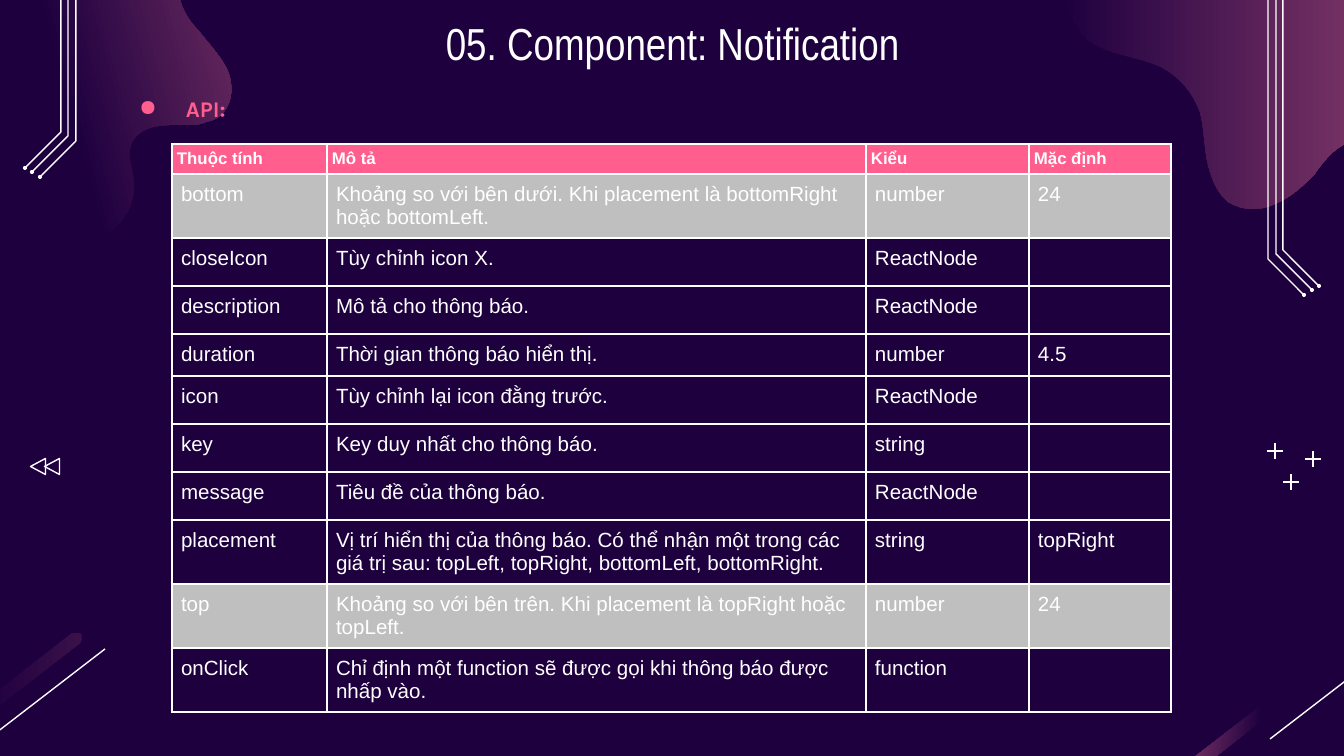
from dataclasses import dataclass
from lxml import etree
from pptx import Presentation
from pptx.dml.color import RGBColor
from pptx.enum.shapes import MSO_CONNECTOR, MSO_SHAPE
from pptx.enum.text import MSO_ANCHOR, MSO_AUTO_SIZE, PP_ALIGN
from pptx.oxml.ns import qn
from pptx.util import Pt

STRAIGHT = MSO_CONNECTOR.STRAIGHT
TRIANGLE, OVAL = MSO_SHAPE.ISOSCELES_TRIANGLE, MSO_SHAPE.OVAL
TOP, MIDDLE = MSO_ANCHOR.TOP, MSO_ANCHOR.MIDDLE
CENTER, NO_FIT = PP_ALIGN.CENTER, MSO_AUTO_SIZE.NONE

NIGHT = RGBColor(0x1E, 0x00, 0x3F)
MAUVE = RGBColor(0xA6, 0x4D, 0x79)
DUSK = RGBColor(0x3A, 0x10, 0x48)
PINK = RGBColor(0xFF, 0x5E, 0x8E)
GREY = RGBColor(0xBF, 0xBF, 0xBF)
WHITE = RGBColor(0xFF, 0xFF, 0xFF)

EMU_PER_PX = 914400 / 134.4
TITLE_ONLY = 5
CURVE_STEPS = 8
THIN = Pt(0.75)
Point = tuple[float, float]


@dataclass
class Blob:
    """Closed chain of cubic curves: a start, then two handles and an end each."""
    points: list[Point]
    angle: float
    dark_until: float
    tip: RGBColor = MAUVE


@dataclass
class Trace:
    x: int
    top: int
    bend: int
    side: int


@dataclass
class Row:
    cells: tuple[str, str, str, str]
    height: int
    fill: RGBColor | None = None


def px(value: float) -> int:
    return round(value * EMU_PER_PX)


LEFT_WAVE = [
    (65, 255), (99, 246), (116, 227), (121, 222), (132, 210), (136, 192), (133, 176),
    (132, 167), (128, 157), (130, 149), (132, 137), (142, 130), (153, 127),
    (167, 124), (179, 125), (191, 125), (196, 125), (202, 124), (206, 122),
    (212, 121), (219, 118), (223, 113), (234, 101), (233, 82), (227, 69),
    (220, 55), (208, 43), (199, 31), (188, 20), (179, 5), (179, -9),
    (179, -22), (183, -34), (192, -42), (198, -47), (206, -51), (214, -52),
    (226, -56), (241, -56), (255, -55), (270, -55), (285, -54), (300, -56),
    (319, -62), (331, -69), (339, -78), (348, -89), (351, -105), (347, -117),
    (344, -141), (328, -168), (313, -180), (289, -202), (255, -208), (224, -203),
    (173, -188), (138, -148), (94, -128), (87, -125), (79, -122), (73, -121),
    (30, -109), (-17, -114), (-63, -110), (-83, -109), (-103, -105), (-122, -99),
    (-140, -95), (-156, -90), (-172, -82), (-195, -73), (-218, -59), (-234, -40),
    (-250, -23), (-262, 3), (-261, 30), (-259, 62), (-237, 91), (-210, 108),
    (-181, 125), (-151, 130), (-118, 133), (-99, 136), (-81, 136), (-62, 142),
    (-43, 148), (-26, 160), (-17, 179), (-11, 194), (-11, 208), (-4, 223),
    (8, 247), (39, 262), (65, 255)]
RIGHT_WAVE = [
    (1512, 51), (1512, 17), (1503, -17), (1485, -47), (1470, -73), (1449, -94), (1422, -103),
    (1392, -114), (1360, -109), (1329, -113), (1300, -117), (1270, -130), (1249, -152),
    (1234, -165), (1222, -181), (1206, -190), (1187, -199), (1165, -196), (1145, -192),
    (1129, -188), (1113, -183), (1101, -173), (1079, -157), (1070, -130), (1066, -105),
    (1062, -87), (1060, -69), (1060, -51), (1060, -42), (1060, -32), (1062, -24),
    (1063, 0), (1070, 24), (1087, 40), (1109, 56), (1138, 56), (1161, 67),
    (1180, 77), (1193, 93), (1200, 112), (1204, 126), (1204, 144), (1207, 160),
    (1210, 175), (1216, 192), (1228, 202), (1242, 211), (1261, 211), (1275, 204),
    (1290, 198), (1302, 187), (1314, 175), (1321, 165), (1328, 156), (1337, 149),
    (1347, 142), (1357, 138), (1368, 142), (1388, 148), (1395, 175), (1414, 185),
    (1457, 211), (1489, 151), (1501, 118), (1508, 97), (1512, 74), (1512, 51)]
BAR = [
    (75, 633), (77, 633), (79, 633), (81, 634), (82, 638), (82, 642), (79, 644),
    (79, 644), (-109, 790), (-109, 790), (-113, 792), (-117, 792), (-118, 789),
    (-121, 786), (-121, 782), (-117, 780), (-117, 780), (71, 634), (71, 634),
    (73, 633), (74, 632), (75, 633)]
BAR_SHIFT = 1282
BLOBS = [
    Blob(LEFT_WAVE, 15, 0.5),
    Blob(RIGHT_WAVE, 0, 0),
    Blob(BAR, 0, 0.5, DUSK),
    Blob([(x + BAR_SHIFT, y) for x, y in BAR], 173, 0.5)]
TRACES = [
    Trace(1268, -160, 259, 1), Trace(1276, -160, 254, 1), Trace(1283, -160, 250, 1),
    Trace(61, -278, 132, -1), Trace(68, -278, 136, -1), Trace(76, -278, 141, -1)]
TRACE_RUN = 36
PLUSES = [(1291, 482), (1313, 459), (1275, 451)]
PLUS_ARM = 8

COLUMNS = [155, 539, 163, 142]
ROWS = [
    Row(("Thuộc tính", "Mô tả", "Kiểu", "Mặc định"), 30, PINK),
    Row(("bottom", "Khoảng so với bên dưới. Khi placement là bottomRight hoặc bottomLeft.",
         "number", "24"), 64, GREY),
    Row(("closeIcon", "Tùy chỉnh icon X.", "ReactNode", ""), 48),
    Row(("description", "Mô tả cho thông báo.", "ReactNode", ""), 48),
    Row(("duration", "Thời gian thông báo hiển thị.", "number", "4.5"), 42),
    Row(("icon", "Tùy chỉnh lại icon đằng trước.", "ReactNode", ""), 48),
    Row(("key", "Key duy nhất cho thông báo.", "string", ""), 48),
    Row(("message", "Tiêu đề của thông báo.", "ReactNode", ""), 48),
    Row(("placement", "Vị trí hiển thị của thông báo. Có thể nhận một trong các giá trị sau: "
         "topLeft, topRight, bottomLeft, bottomRight.", "string", "topRight"), 64),
    Row(("top", "Khoảng so với bên trên. Khi placement là topRight hoặc topLeft.",
         "number", "24"), 64, GREY),
    Row(("onClick", "Chỉ định một function sẽ được gọi khi thông báo được nhấp vào.",
         "function", ""), 64)]


def set_font(para, name: str, size: float, color: RGBColor, bold: bool = False) -> None:
    para.font.name, para.font.size, para.font.bold = name, Pt(size), bold
    para.font.color.rgb = color


def outline(page, points: list[Point], closed: bool):
    corners = [(px(x), px(y)) for x, y in points]
    builder = page.shapes.build_freeform(*corners[0])
    builder.add_line_segments(corners[1:], close=closed)
    shape = builder.convert_to_shape()
    shape.shadow.inherit = False
    return shape


def draw_blob(page, blob: Blob) -> None:
    pts = blob.points
    curve = [pts[0]]
    for i in range(0, len(pts) - 1, 3):
        for step in range(1, CURVE_STEPS + 1):
            t = step / CURVE_STEPS
            weights = ((1 - t) ** 3, 3 * t * (1 - t) ** 2, 3 * t * t * (1 - t), t ** 3)
            curve.append(tuple(sum(w * p[axis] for w, p in zip(weights, pts[i:i + 4]))
                               for axis in (0, 1)))
    shape = outline(page, curve, True)
    shape.line.fill.background()
    shape.fill.gradient()
    shape.fill.gradient_angle = blob.angle
    start, end = shape.fill.gradient_stops
    start.color.rgb, start.position = NIGHT, blob.dark_until
    end.color.rgb, end.position = blob.tip, 1


def draw_line(page, x1: int, y1: int, x2: int, y2: int) -> None:
    line = page.shapes.add_connector(STRAIGHT, px(x1), px(y1), px(x2), px(y2))
    line.line.color.rgb, line.line.width = WHITE, THIN
    etree.SubElement(line._element.spPr, qn("a:effectLst"))


def draw_trace(page, trace: Trace) -> None:
    end_x, end_y = trace.x + trace.side * TRACE_RUN, trace.bend + TRACE_RUN
    wire = outline(page, [(trace.x, trace.top), (trace.x, trace.bend), (end_x, end_y)], False)
    wire.fill.background()
    wire.line.color.rgb, wire.line.width = WHITE, THIN
    dot = page.shapes.add_shape(OVAL, px(end_x - 2), px(end_y - 2), px(4), px(4))
    dot.shadow.inherit = False
    dot.fill.solid()
    dot.fill.fore_color.rgb = WHITE
    dot.line.fill.background()


def draw_arrowhead(page, left: int) -> None:
    head = page.shapes.add_shape(TRIANGLE, px(left), px(459), px(16), px(15))
    head.rotation = 270
    head.shadow.inherit = False
    head.fill.background()
    head.line.color.rgb, head.line.width = WHITE, THIN


def add_borders(cell) -> None:
    properties = cell._tc.get_or_add_tcPr()
    for side in ("lnL", "lnR", "lnT", "lnB"):
        border = etree.SubElement(properties, qn(f"a:{side}"), w=str(Pt(1)))
        fill = etree.SubElement(border, qn("a:solidFill"))
        etree.SubElement(fill, qn("a:srgbClr"), val=str(WHITE))


def draw_table(page) -> None:
    table = page.shapes.add_table(len(ROWS), len(COLUMNS), px(172), px(144), px(sum(COLUMNS)),
                                  px(sum(row.height for row in ROWS))).table
    table.first_row = table.horz_banding = False
    for column, width in zip(table.columns, COLUMNS):
        column.width = px(width)
    for r, row in enumerate(ROWS):
        header = r == 0
        table.rows[r].height = px(row.height)
        for c, text in enumerate(row.cells):
            cell = table.cell(r, c)
            add_borders(cell)
            if row.fill is None:
                cell.fill.background()
            else:
                cell.fill.solid()
                cell.fill.fore_color.rgb = row.fill
            cell.margin_left = cell.margin_right = px(5 if header else 9)
            cell.margin_top = cell.margin_bottom = px(5 if header else 9 if text else 4)
            cell.text = text
            set_font(cell.text_frame.paragraphs[0], "Arial", 9 if header else 11, WHITE, header)


def place_text(box, text: str, anchor):
    frame = box.text_frame
    frame.text, frame.word_wrap = text, True
    frame.auto_size, frame.vertical_anchor = NO_FIT, anchor
    frame.margin_left = frame.margin_right = frame.margin_top = frame.margin_bottom = px(13)
    return frame.paragraphs[0]


def main() -> None:
    deck = Presentation()
    deck.slide_width, deck.slide_height = px(1344), px(756)
    page = deck.slides.add_slide(deck.slide_layouts[TITLE_ONLY])
    page.background.fill.solid()
    page.background.fill.fore_color.rgb = NIGHT

    # Backdrop
    for blob in BLOBS:
        draw_blob(page, blob)
    for shift in (0, BAR_SHIFT):
        draw_line(page, 105 + shift, 649, shift - 12, 739)
    for trace in TRACES:
        draw_trace(page, trace)
    for x, y in PLUSES:
        draw_line(page, x - PLUS_ARM, y, x + PLUS_ARM, y)
        draw_line(page, x, y - PLUS_ARM, x, y + PLUS_ARM)
    for left in (30, 44):
        draw_arrowhead(page, left)

    # Title and bullet heading
    title = page.shapes.title
    title.left, title.top, title.width, title.height = px(106), px(0), px(1133), px(85)
    para = place_text(title, "05. Component: Notification", MIDDLE)
    para.alignment = CENTER
    set_font(para, "Arial Narrow", 24, WHITE)

    heading = page.shapes.add_textbox(px(106), px(69), px(1091), px(64))
    para = place_text(heading, "API:", TOP)
    para.line_spacing = 1.5
    set_font(para, "Karla", 12, PINK, True)
    properties = para._p.get_or_add_pPr()
    properties.set("marL", str(px(67)))
    properties.set("indent", str(px(-47)))
    bullet = etree.Element(qn("a:buChar"), char="●")
    properties.find(qn("a:defRPr")).addprevious(bullet)

    draw_table(page)
    deck.save("out.pptx")


if __name__ == "__main__":
    main()
